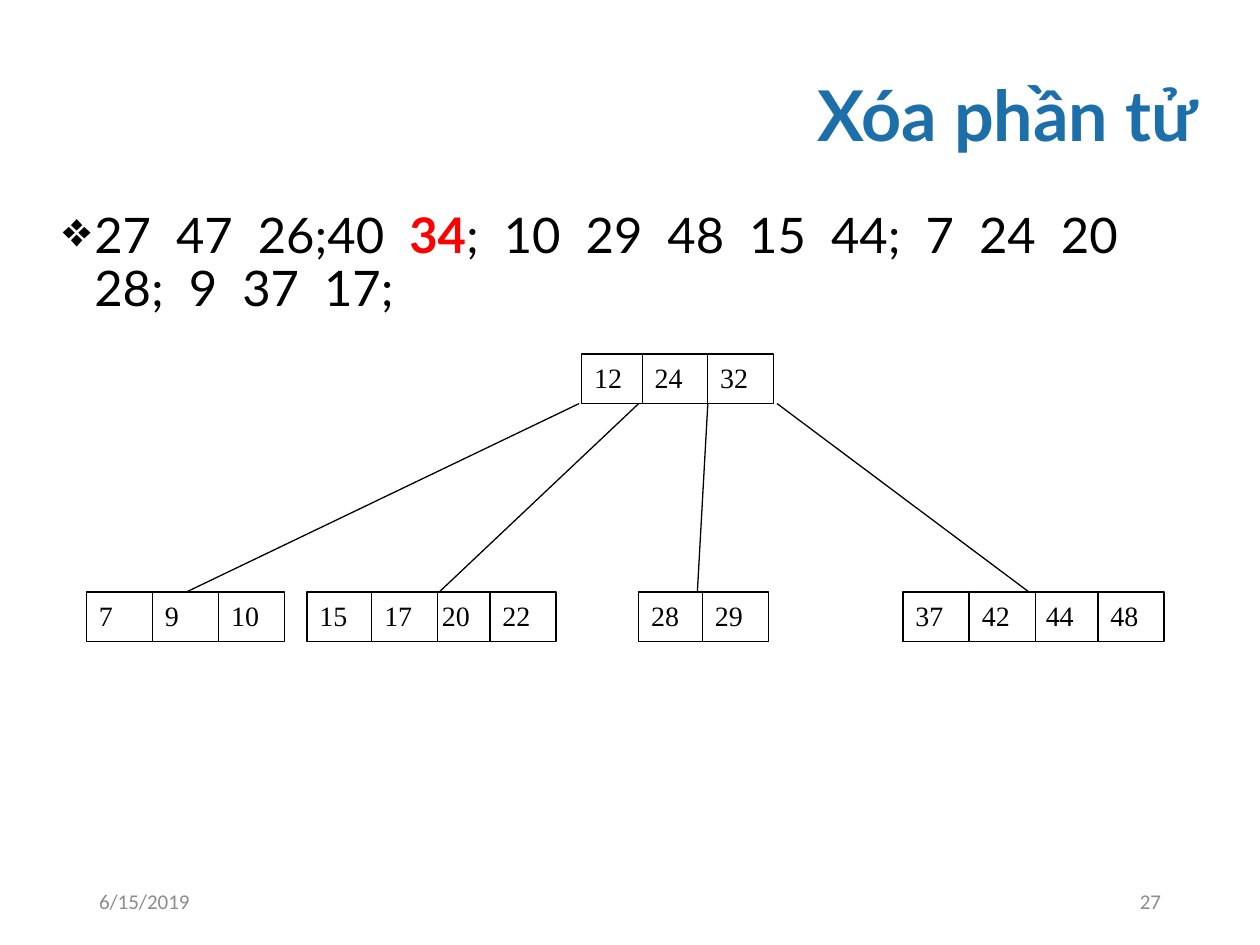
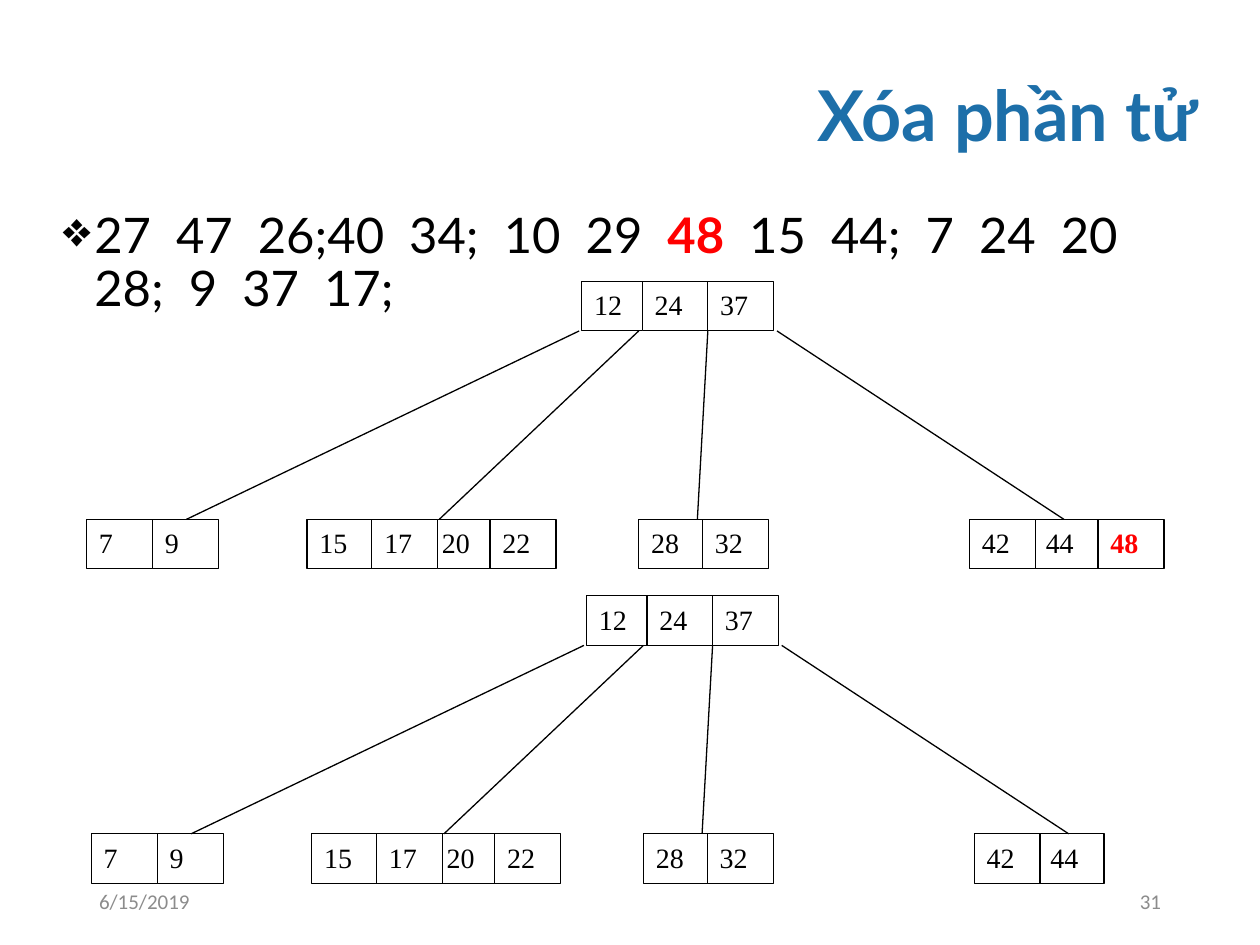
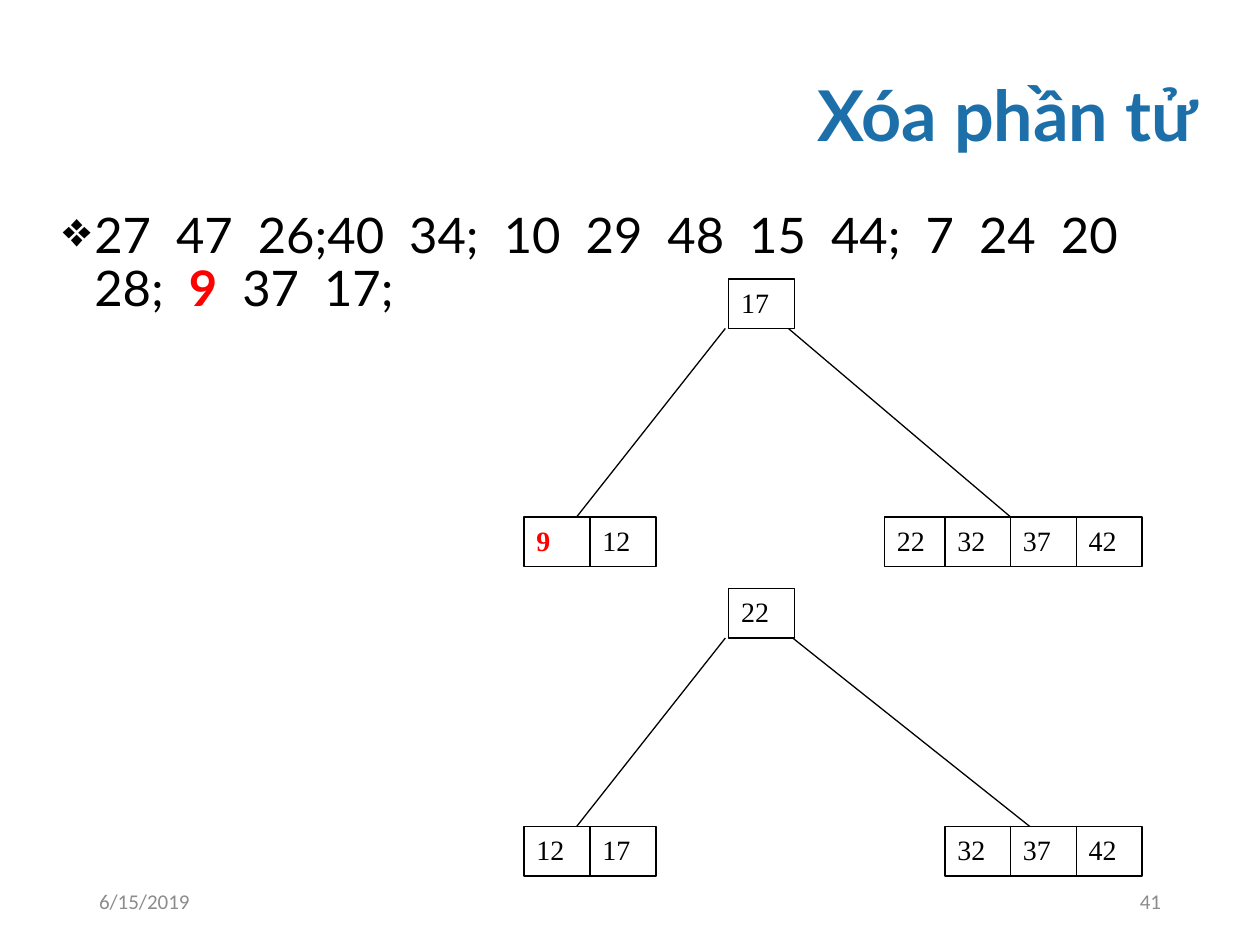
import pptx
import pptx.dml.color
import pptx.enum.shapes
import pptx.enum.text
import pptx.oxml.ns
import pptx.util
from lxml import etree

Pt = pptx.util.Pt
ALIGN = pptx.enum.text.PP_ALIGN
ANCHOR = pptx.enum.text.MSO_ANCHOR

BLACK, WHITE, RED = "000000", "FFFFFF", "FF0000"
TITLE_FORMAT = {"name": "Lato", "size": Pt(40), "bold": True, "color": "1D6FA9"}
BODY_FORMAT = {"name": "Lato", "size": Pt(28), "bold": False, "color": BLACK}
FOOTER_FORMAT = {"name": "Calibri", "size": Pt(12), "color": "8C8C8C"}
KEY_FORMAT = {"name": "Times New Roman", "size": Pt(16), "color": BLACK}
REMOVED_FORMAT = {"bold": True, "color": RED}

TITLE = "Xóa phần tử"
DATE = "6/15/2019"
NUMBERS = "27  47  26;40  34;  10  29  48  15  44;  7  24  20  28;  9  37  17;"

CELL_WIDTH, CELL_HEIGHT, LEVEL_GAP = 37.7, 28.3, 136
WIDE_LEFT, NARROW_LEFT = 49.5, 299.5

LEFT_LEAVES = [(7, 0), (9, 37.7), (20, 196), (15, 126), (17, 163), (22, 230.5)]
LEFT_BRANCHES = [(281.5, 57), (315.5, 201.5), (355, 349)]


def wide_root(last_key):
    return [(12, 283), (24, 317.5), (last_key, 355)]


def middle_leaf(last_key):
    return [(28, 315.5), (last_key, 352)]


RIGHT_PAIR = [(44, 541), (42, 504.5)]
BALANCED_LEAVES = LEFT_LEAVES + middle_leaf(32) + RIGHT_PAIR
BALANCED_BRANCHES = LEFT_BRANCHES + [(394.5, 558.5)]
RIGHT_TRIPLE = [(32, 240.5), (37, 278), (42, 315.5)]

SLIDES = [
    {"page": 27, "removed": 34, "trees": [
        {"left": WIDE_LEFT, "top": 202.3, "root": wide_root(32),
         "leaves": LEFT_LEAVES + [(10, 75.5)] + middle_leaf(29)
         + [(37, 466.5)] + RIGHT_PAIR + [(48, 578)],
         "branches": LEFT_BRANCHES + [(394.5, 538.5)]},
    ]},
    {"page": 31, "removed": 48, "trees": [
        {"left": WIDE_LEFT, "top": 160.8, "root": wide_root(37),
         "leaves": BALANCED_LEAVES + [(48, 578)],
         "branches": BALANCED_BRANCHES},
        {"left": WIDE_LEFT + 2.7, "top": 340.5, "root": wide_root(37),
         "leaves": BALANCED_LEAVES, "branches": BALANCED_BRANCHES},
    ]},
    {"page": 41, "removed": 9, "trees": [
        {"left": NARROW_LEFT, "top": 159.4, "root": [(17, 117)],
         "leaves": [(9, 0), (12, 37.7), (22, 206)] + RIGHT_TRIPLE,
         "branches": [(115, 30), (151, 278)]},
        {"left": NARROW_LEFT, "top": 336.3, "root": [(22, 117)],
         "leaves": [(12, 0), (17, 37.7)] + RIGHT_TRIPLE,
         "branches": [(115, 30), (153.5, 289)]},
    ]},
]


def color(value):
    return pptx.dml.color.RGBColor.from_string(value)


def add_run(paragraph, text, format_values):
    run = paragraph.add_run()
    run.text = text
    for name, value in format_values.items():
        if name == "color":
            run.font.color.rgb = color(value)
        else:
            setattr(run.font, name, value)


def add_text_box(slide, box, anchor=ANCHOR.MIDDLE, alignment=ALIGN.LEFT):
    text_frame = slide.shapes.add_textbox(*map(Pt, box)).text_frame
    text_frame.word_wrap = True
    text_frame.vertical_anchor = anchor
    paragraph = text_frame.paragraphs[0]
    paragraph.alignment = alignment
    return paragraph


def add_title(slide, box):
    paragraph = add_text_box(slide, box, alignment=ALIGN.RIGHT)
    paragraph.line_spacing = 0.9
    add_run(paragraph, TITLE, TITLE_FORMAT)


def add_number_list(slide, box, removed):
    paragraph = add_text_box(slide, box, anchor=ANCHOR.TOP)
    properties = paragraph._p.get_or_add_pPr()
    properties.set("marL", str(Pt(18)))
    properties.set("indent", str(Pt(-18)))
    bullet = etree.SubElement(properties, pptx.oxml.ns.qn("a:buChar"))
    bullet.set("char", "❖")
    paragraph.line_spacing = 0.9
    before, separator, after = NUMBERS.partition(f" {removed}")
    add_run(paragraph, before + " ", BODY_FORMAT)
    add_run(paragraph, str(removed), BODY_FORMAT | REMOVED_FORMAT)
    add_run(paragraph, after, BODY_FORMAT)


def add_footer(slide, box, page):
    left, top, width, height = box
    field_width = 162
    add_run(add_text_box(slide, (left, top, field_width, height)), DATE, FOOTER_FORMAT)
    page_box = (left + width - field_width, top, field_width, height)
    paragraph = add_text_box(slide, page_box, alignment=ALIGN.RIGHT)
    add_run(paragraph, str(page), FOOTER_FORMAT)


def add_cell(slide, left, top, key, removed):
    shape = slide.shapes.add_shape(
        pptx.enum.shapes.MSO_SHAPE.RECTANGLE,
        *map(Pt, (left, top, CELL_WIDTH, CELL_HEIGHT)))
    shape.shadow.inherit = False
    shape.fill.solid()
    shape.fill.fore_color.rgb = color(WHITE)
    shape.line.color.rgb = color(BLACK)
    shape.line.width = Pt(0.75)
    shape.text_frame.vertical_anchor = ANCHOR.TOP
    paragraph = shape.text_frame.paragraphs[0]
    paragraph.alignment = ALIGN.LEFT
    add_run(paragraph, str(key), KEY_FORMAT | (REMOVED_FORMAT if key == removed else {}))


def add_branch(slide, start, end):
    connector = slide.shapes.add_connector(
        pptx.enum.shapes.MSO_CONNECTOR.STRAIGHT, *map(Pt, start + end))
    connector.line.color.rgb = color(BLACK)
    connector.line.width = Pt(0.75)
    etree.SubElement(connector._element.spPr, pptx.oxml.ns.qn("a:effectLst"))


def add_tree(slide, left, top, root, leaves, branches, removed):
    leaf_top = top + LEVEL_GAP
    for cells, cell_top in ((root, top), (leaves, leaf_top)):
        for key, offset in cells:
            add_cell(slide, left + offset, cell_top, key, removed)
    for start, end in branches:
        add_branch(slide, (left + start, top + CELL_HEIGHT), (left + end, leaf_top))


def add_tree_slide(presentation, page, removed, trees):
    slide = presentation.slides.add_slide(presentation.slide_layouts[6])
    add_title(slide, (28.8, 28.8, 662.4, 77.8))
    add_number_list(slide, (28.8, 117.4, 662.4, 372.2), removed)
    add_footer(slide, (49.5, 500.4, 621, 28.8), page)
    for tree in trees:
        add_tree(slide, removed=removed, **tree)


def main():
    presentation = pptx.Presentation()
    presentation.slide_width = Pt(720)
    presentation.slide_height = Pt(540)
    for content in SLIDES:
        add_tree_slide(presentation, **content)
    presentation.save("out.pptx")


if __name__ == "__main__":
    main()
